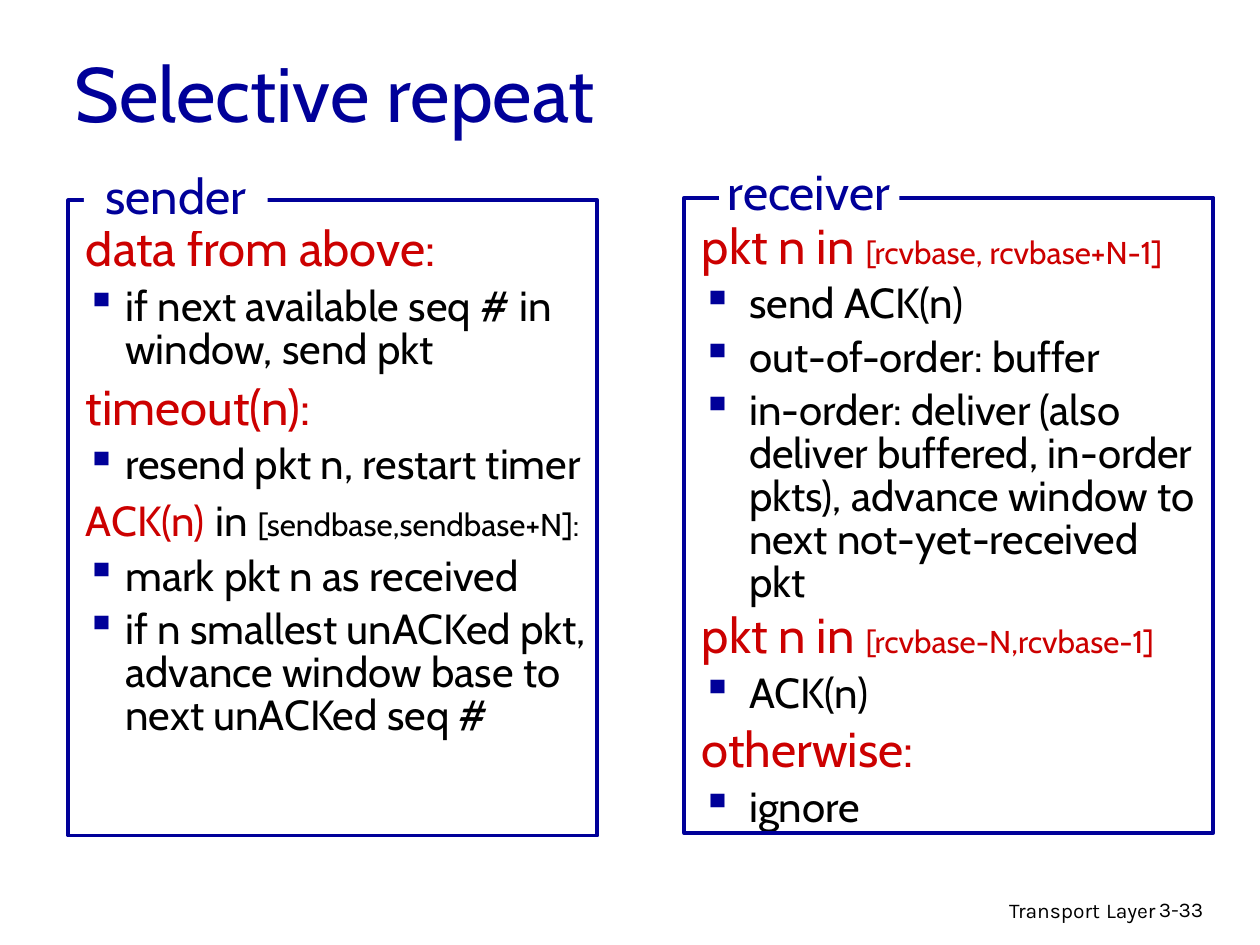
import pptx
import pptx.util
import pptx.dml.color
import pptx.enum.shapes
import pptx.enum.text
import pptx.oxml.ns
from lxml import etree

Pt = pptx.util.Pt
ALIGN = pptx.enum.text.PP_ALIGN
ANCHOR = pptx.enum.text.MSO_ANCHOR
RECT = pptx.enum.shapes.MSO_SHAPE.RECTANGLE

COLORS = {"blue": "000099", "red": "CC0000", "black": "000000", "white": "FFFFFF"}

# Runs are (text, size, colour); lines are (space before, is bullet, runs).
def head(text, before, detail=None):
    runs = [(text, 28, "red")]
    if detail:
        runs.append((detail, 18, "red"))
    return before, False, runs


def item(text):
    return 6, True, [(text, 24, "black")]


SENDER = [
    head("data from above:", 0),
    item("if next available seq # in window, send pkt"),
    head("timeout(n):", 7),
    item("resend pkt n, restart timer"),
    (4.5, False, [("ACK(n)", 24, "red"), (" ", 28, "red"), ("in ", 24, "black"),
                  ("[sendbase,sendbase+N]:", 18, "black")]),
    item("mark pkt n as received"),
    item("if n smallest unACKed pkt, advance window base to next unACKed seq #"),
]
RECEIVER = [
    head("pkt n in ", 0, "[rcvbase, rcvbase+N-1]"),
    item("send ACK(n)"),
    item("out-of-order: buffer"),
    item("in-order: deliver (also deliver buffered, in-order pkts), "
         "advance window to next not-yet-received pkt"),
    head("pkt n in ", 4.5, "[rcvbase-N,rcvbase-1]"),
    item("ACK(n)"),
    head("otherwise:", 6),
    item("ignore"),
]

FRAME_SIZE = (302.4, 363)
BODY_SIZE = (300, 366)
# Boxes are (left, top, width, height); "gap" hides the frame behind the label.
PANELS = [
    {"label": "sender", "lines": SENDER, "indent": 22.5, "frame": (39, 114.5),
     "body": (42, 126), "gap": (48, 91, 105, 41), "label_box": (48, 91, 105, 41)},
    {"label": "receiver", "lines": RECEIVER, "indent": 27, "frame": (391, 113),
     "body": (394, 124.5), "gap": (411, 102, 103, 22.5), "label_box": (402.5, 88.5, 119.5, 41)},
]
# Single lines: box, runs, font, alignment, anchor.
SINGLES = [
    ((35.3, 19.4, 612, 66), [("Selective repeat", 44, "blue")], "Cabin", ALIGN.LEFT, ANCHOR.MIDDLE),
    ((439, 507.6, 228.4, 22.5), [("Transport", 12, "black"), (" ", 14, "black"), ("Layer", 12, "black")],
     "Karla", ALIGN.RIGHT, ANCHOR.TOP),
    ((655.2, 509, 53.3, 21.6), [("3-33", 12, "black")], "Karla", ALIGN.LEFT, ANCHOR.TOP),
]


def rgb(name):
    return pptx.dml.color.RGBColor.from_string(COLORS[name])


def add_runs(p, runs, font="Cabin"):
    for text, size, color in runs:
        r = p.add_run()
        r.text = text
        for key, value in {"name": font, "size": Pt(size)}.items():
            setattr(r.font, key, value)
        r.font.color.rgb = rgb(color)


def add_text(s, box, wrap=True, anchor=ANCHOR.TOP):
    tf = s.shapes.add_textbox(*map(Pt, box)).text_frame
    for key, value in {"word_wrap": wrap, "vertical_anchor": anchor}.items():
        setattr(tf, key, value)
    return tf


def add_rect(s, box, fill=None, line=None):
    sp = s.shapes.add_shape(RECT, *map(Pt, box))
    sp.shadow.inherit = False
    if fill:
        sp.fill.solid()
        sp.fill.fore_color.rgb = rgb(fill)
    else:
        sp.fill.background()
    if line:
        sp.line.color.rgb = rgb(line)
        sp.line.width = Pt(2.25)
    else:
        sp.line.fill.background()


def set_indent(p, indent, bullet):
    """Hang the first line, with a square bullet if asked for."""
    qn = pptx.oxml.ns.qn
    pPr = p._p.get_or_add_pPr()
    pPr.set("marL", str(Pt(indent)))
    pPr.set("indent", str(-Pt(indent)))
    if bullet:
        clr = etree.SubElement(pPr, qn("a:buClr"))
        etree.SubElement(clr, qn("a:srgbClr"), val=COLORS["blue"])
        etree.SubElement(pPr, qn("a:buChar"), char="▪")
    else:
        etree.SubElement(pPr, qn("a:buNone"))


def add_panel(s, panel):
    tf = add_text(s, panel["body"] + BODY_SIZE)
    for i, (before, bullet, runs) in enumerate(panel["lines"]):
        p = tf.add_paragraph() if i else tf.paragraphs[0]
        set_indent(p, panel["indent"], bullet)
        for key, value in {"line_spacing": 0.85, "space_before": Pt(before)}.items():
            setattr(p, key, value)
        add_runs(p, runs)
    add_rect(s, panel["frame"] + FRAME_SIZE, line="blue")
    add_rect(s, panel["gap"], fill="white")
    p = add_text(s, panel["label_box"], wrap=False).paragraphs[0]
    p.alignment = ALIGN.CENTER
    add_runs(p, [(panel["label"], 28, "blue")])


def main():
    prs = pptx.Presentation()
    prs.slide_width, prs.slide_height = Pt(720), Pt(540)
    s = prs.slides.add_slide(prs.slide_layouts[6])
    for box, runs, font, align, anchor in SINGLES:
        p = add_text(s, box, anchor=anchor).paragraphs[0]
        p.alignment = align
        add_runs(p, runs, font)
    for panel in PANELS:
        add_panel(s, panel)
    prs.save("out.pptx")


if __name__ == "__main__":
    main()
